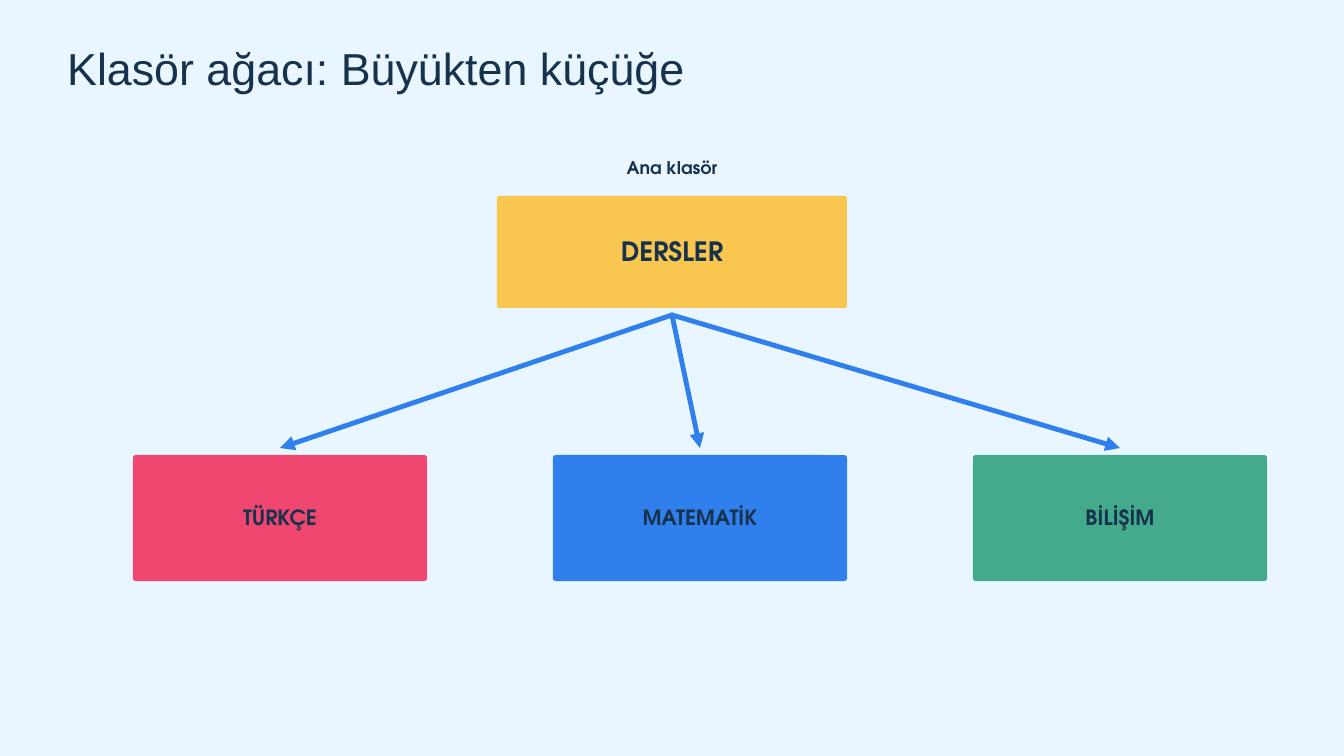
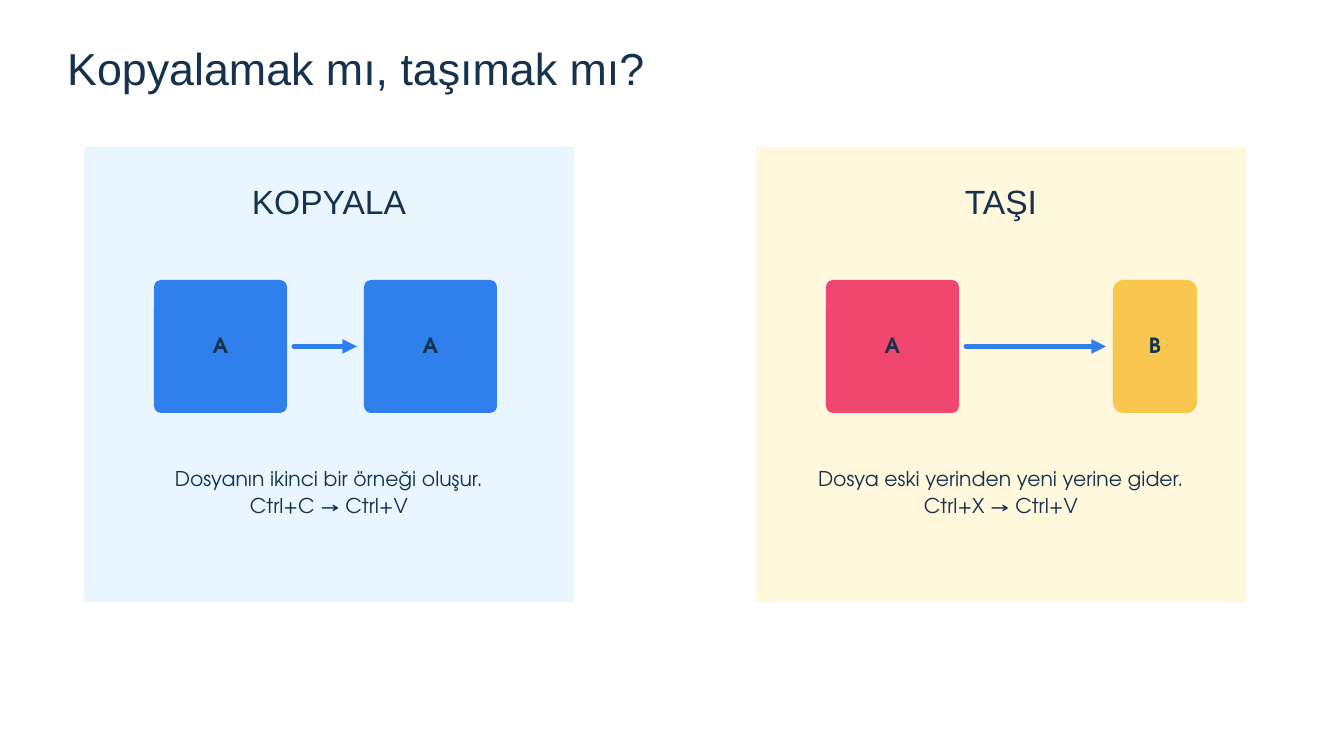
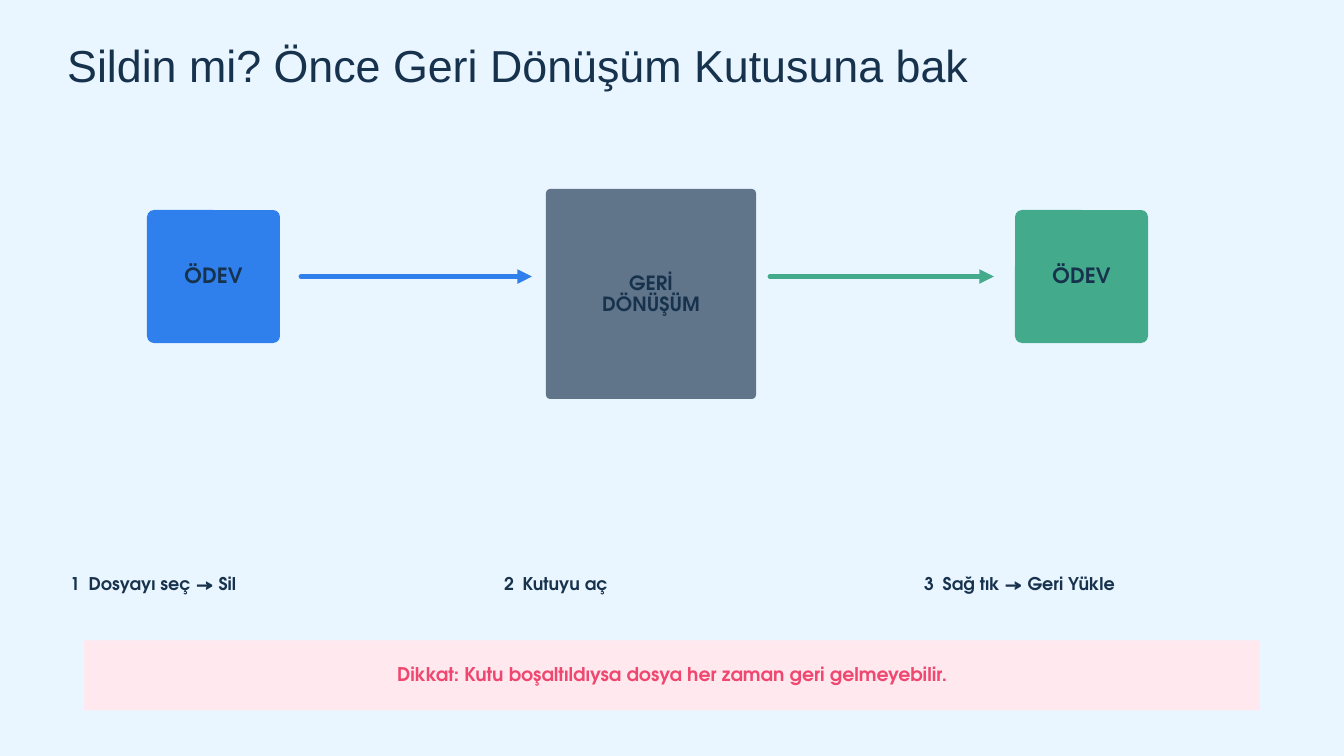
from lxml import etree
from pptx import Presentation
from pptx.dml.color import RGBColor
from pptx.enum import shapes, text
from pptx.oxml.ns import qn
from pptx.util import Pt

COLORS = {
    "navy": "17324D", "sky": "EAF6FF", "white": "FFFFFF", "cream": "FFF8DC",
    "blush": "FFE8EE", "yellow": "F9C74F", "pink": "EF476F", "blue": "2F80ED",
    "green": "43AA8B", "slate": "61758A",
}
HEAD_FONT, BODY_FONT = "Arial", "TeX Gyre Adventor"
LEFT, CENTER = text.PP_ALIGN.LEFT, text.PP_ALIGN.CENTER
FILE_SIZE = 142.5  # side of a file tile
STEP_TAB = 20      # from a step's number to its words


def rgb(name):
    return RGBColor.from_string(COLORS[name])


def new_slide(deck, background, title, title_top=51):
    slide = deck.slides.add_slide(deck.slide_layouts[6])
    slide.background.fill.solid()
    slide.background.fill.fore_color.rgb = rgb(background)
    add_text(slide, 72, title_top, 1237.5, 51, title, 48, 50.4, font=HEAD_FONT)
    return slide


def write(frame, content, size, spacing, font=BODY_FONT, color="navy",
          bold=False, align=LEFT, inset=0):
    """Fill a text frame, one paragraph for each line of the content."""
    frame.word_wrap = True
    frame.margin_left = frame.margin_right = Pt(inset)
    frame.margin_top = frame.margin_bottom = Pt(inset)
    for i, line in enumerate(content.split("\n")):
        paragraph = frame.paragraphs[0] if i == 0 else frame.add_paragraph()
        paragraph.text = line
        paragraph.alignment = align
        paragraph.line_spacing = Pt(spacing)
        if "\t" in line:
            tabs = etree.SubElement(paragraph._p.get_or_add_pPr(), qn("a:tabLst"))
            etree.SubElement(tabs, qn("a:tab"), pos=str(Pt(STEP_TAB)), algn="l")
        paragraph.font.name = font
        paragraph.font.size = Pt(size)
        paragraph.font.bold = bold
        paragraph.font.color.rgb = rgb(color)


def add_text(slide, left, top, width, height, content, size, spacing, **style):
    box = slide.shapes.add_textbox(Pt(left), Pt(top), Pt(width), Pt(height))
    write(box.text_frame, content, size, spacing, **style)


def add_panel(slide, left, top, width, height, color,
              kind=shapes.MSO_SHAPE.RECTANGLE):
    panel = slide.shapes.add_shape(kind, Pt(left), Pt(top), Pt(width), Pt(height))
    panel.shadow.inherit = False
    panel.fill.solid()
    panel.fill.fore_color.rgb = rgb(color)
    panel.line.fill.background()
    return panel


def add_tile(slide, left, top, width, height, color, label, radius, size=22.5):
    """Rounded block with a bold label in its middle."""
    tile = add_panel(slide, left, top, width, height, color,
                     shapes.MSO_SHAPE.ROUNDED_RECTANGLE)
    tile.adjustments[0] = radius / min(width, height)
    tile.text_frame.vertical_anchor = text.MSO_ANCHOR.MIDDLE
    write(tile.text_frame, label, size, size * 1.1, bold=True, align=CENTER, inset=4.5)


def add_file(slide, left, top, color, label):
    add_tile(slide, left, top, FILE_SIZE, FILE_SIZE, color, label, 7.5)


def add_arrow(slide, x1, y1, x2, y2, color="blue"):
    arrow = slide.shapes.add_connector(
        shapes.MSO_CONNECTOR.STRAIGHT, Pt(x1), Pt(y1), Pt(x2), Pt(y2))
    arrow.line.color.rgb = rgb(color)
    arrow.line.width = Pt(5.25)
    line = arrow.line._get_or_add_ln()
    line.set("cap", "rnd")
    etree.SubElement(line, qn("a:tailEnd"), type="triangle")
    etree.SubElement(arrow._element.spPr, qn("a:effectLst"))


def folder_tree(deck):
    slide = new_slide(deck, "sky", "Klasör ağacı: Büyükten küçüğe")
    add_text(slide, 532.5, 168.75, 375, 21.5, "Ana klasör", 18.8, 21.6,
             bold=True, align=CENTER)
    add_tile(slide, 532.5, 210, 375, 120, "yellow", "DERSLER", 2.25, size=28.5)
    folders = [("TÜRKÇE", "pink"), ("MATEMATİK", "blue"), ("BİLİŞİM", "green")]
    for i, (name, color) in enumerate(folders):
        center = 300 + 450 * i
        add_arrow(slide, 720, 337.5, center, 480)
        add_tile(slide, center - 157.5, 487.5, 315, 135, color, name, 3)


def copy_or_move(deck):
    slide = new_slide(deck, "white", "Kopyalamak mı, taşımak mı?")
    actions = [
        (90, "sky", "blue", 382.5, "KOPYALA",
         "Dosyanın ikinci bir örneği oluşur.\nCtrl+C → Ctrl+V"),
        (810, "cream", "pink", 1185, "TAŞI",
         "Dosya eski yerinden yeni yerine gider.\nCtrl+X → Ctrl+V"),
    ]
    for left, panel_color, file_color, arrow_end, heading, result in actions:
        add_panel(slide, left, 157.5, 525, 487.5, panel_color)
        add_text(slide, left + 37.5, 198.75, 450, 39, heading, 36, 37.8,
                 font=HEAD_FONT, align=CENTER)
        add_text(slide, left + 37.5, 496, 450, 58.5, result, 21.8, 29.4, align=CENTER)
        add_file(slide, left + 75, 300, file_color, "A")
        add_arrow(slide, left + 225, 371.25, arrow_end, 371.25)
    # Where the file ends up
    add_file(slide, 390, 300, "blue", "A")
    add_tile(slide, 1192.5, 300, 90, FILE_SIZE, "yellow", "B", 11.25)


def recycle_bin(deck):
    slide = new_slide(deck, "sky", "Sildin mi? Önce Geri Dönüşüm Kutusuna bak", 47.75)
    # Deleting and restoring
    add_file(slide, 157.5, 225, "blue", "ÖDEV")
    add_arrow(slide, 322.5, 296.25, 570, 296.25)
    add_tile(slide, 585, 202.5, 225, 225, "slate", "GERİ\nDÖNÜŞÜM", 4.5, size=21)
    add_arrow(slide, 825, 296.25, 1065, 296.25, "green")
    add_file(slide, 1087.5, 225, "green", "ÖDEV")
    # Steps
    steps = [(75, "Dosyayı seç → Sil"), (540, "Kutuyu aç"), (990, "Sağ tık → Geri Yükle")]
    for number, (left, step) in enumerate(steps, 1):
        add_text(slide, left, 615, 375, 21.5, f"{number}\t{step}", 18.8, 21.6, bold=True)
    # Warning
    add_panel(slide, 90, 686.25, 1260, 75, "blush")
    add_text(slide, 120, 705.5, 1200, 27,
             "Dikkat: Kutu boşaltıldıysa dosya her zaman geri gelmeyebilir.",
             20.2, 28.4, color="pink", bold=True, align=CENTER)


def main():
    deck = Presentation()
    deck.slide_width, deck.slide_height = Pt(1440), Pt(810)
    folder_tree(deck)
    copy_or_move(deck)
    recycle_bin(deck)
    deck.save("out.pptx")


if __name__ == "__main__":
    main()
